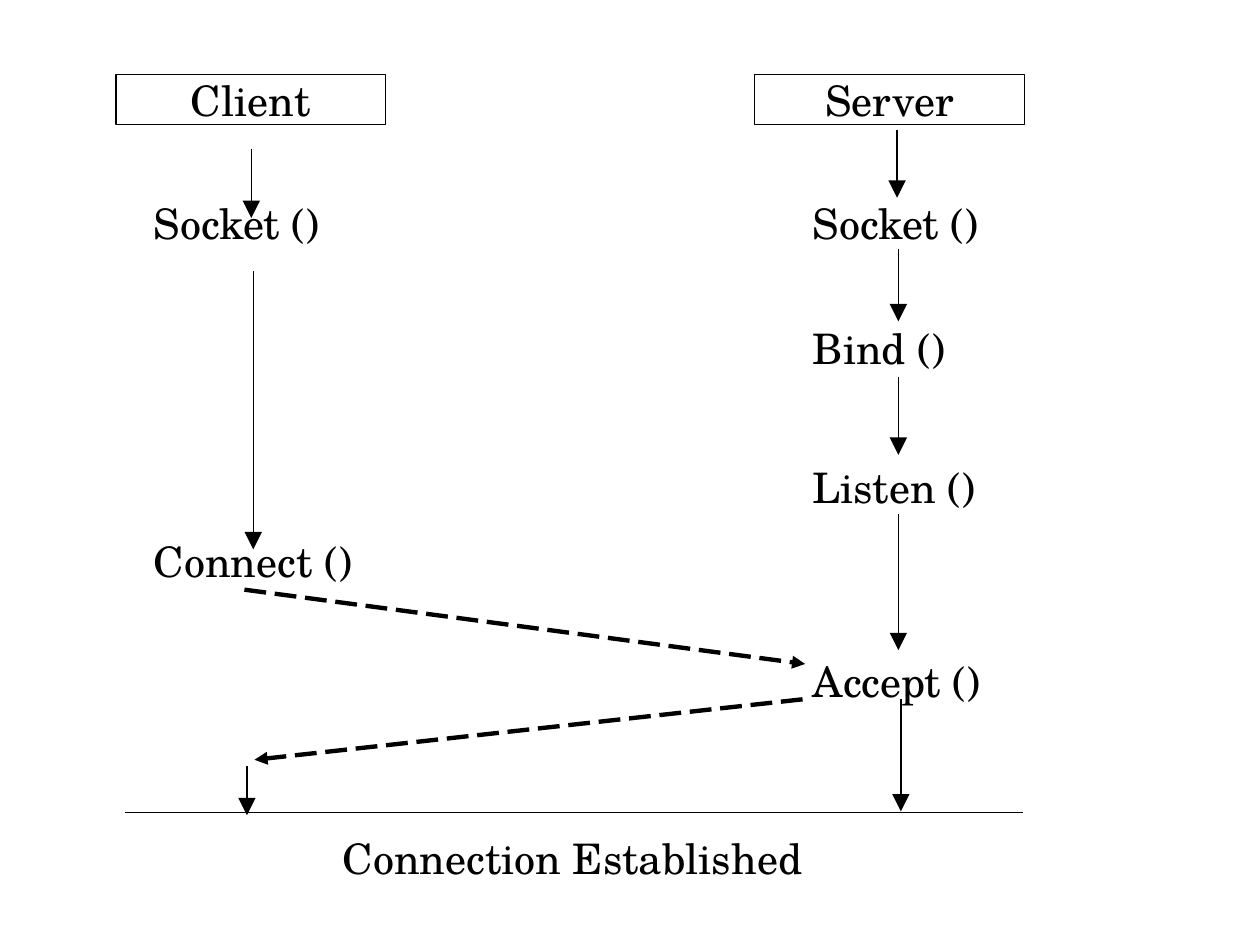
from lxml.etree import SubElement
from pptx import Presentation
from pptx.dml.color import RGBColor
from pptx.enum.shapes import MSO_CONNECTOR, MSO_SHAPE
from pptx.enum.text import MSO_ANCHOR, PP_ALIGN
from pptx.oxml.ns import qn
from pptx.util import Inches, Pt

COLORS = {"ink": "000000", "paper": "FFFFFF"}
FONT = "TeX Gyre Schola"
INK = RGBColor.from_string(COLORS["ink"])

presentation = Presentation()
presentation.slide_width = Inches(10)
presentation.slide_height = Inches(7.5)
slide = presentation.slides.add_slide(presentation.slide_layouts[6])
slide.background.fill.solid()
slide.background.fill.fore_color.rgb = RGBColor.from_string(COLORS["paper"])

# Grid of 100 columns by 75 rows
COLUMN = presentation.slide_width / 100
ROW = presentation.slide_height / 75
LABEL_HEIGHT = 4
CLIENT_LABEL, SERVER_LABEL = 12.2, 64.5
SERVER_ARROW = 71.3
BASELINE = 64.5


def write(shape, text, align=PP_ALIGN.LEFT, anchor=MSO_ANCHOR.TOP):
    frame = shape.text_frame
    frame.word_wrap = True
    frame.vertical_anchor = anchor
    frame.margin_left = frame.margin_right = 0
    frame.margin_top = frame.margin_bottom = 0
    paragraph = frame.paragraphs[0]
    paragraph.alignment = align
    run = paragraph.add_run()
    run.text = text
    run.font.name = FONT
    run.font.size = Pt(24)
    run.font.color.rgb = INK


def connect(start, end, width=0.75, head=None, dashed=False):
    points = [round(value * unit) for value, unit in
              zip((*start, *end), (COLUMN, ROW, COLUMN, ROW))]
    connector = slide.shapes.add_connector(MSO_CONNECTOR.STRAIGHT, *points)
    connector.line.width = Pt(width)
    connector.line.color.rgb = INK
    line = connector.line._get_or_add_ln()
    if dashed:
        pattern = SubElement(line, qn("a:custDash"))
        SubElement(pattern, qn("a:ds"), d="500000", sp="200000")
    if head:
        SubElement(line, qn("a:tailEnd"), type="triangle", w=head, len=head)
    SubElement(connector._element.spPr, qn("a:effectLst"))


# Headings of the two sides
for left, title in ((9.2, "Client"), (59.9, "Server")):
    box = slide.shapes.add_shape(
        MSO_SHAPE.ROUNDED_RECTANGLE, round(left * COLUMN), round(5.9 * ROW),
        round(21.4 * COLUMN), round(LABEL_HEIGHT * ROW))
    box.adjustments[0] = 0
    box.shadow.inherit = False
    box.fill.background()
    box.line.color.rgb = INK
    box.line.width = Pt(0.75)
    write(box, title, PP_ALIGN.CENTER, MSO_ANCHOR.MIDDLE)

# Calls and the result
for left, top, width, text in (
    (CLIENT_LABEL, 15.7, 16.9, "Socket ()"),
    (CLIENT_LABEL, 42.5, 21, "Connect ()"),
    (SERVER_LABEL, 15.7, 16.9, "Socket ()"),
    (SERVER_LABEL, 25.6, 16.9, "Bind ()"),
    (SERVER_LABEL, 36.6, 16.9, "Listen ()"),
    (SERVER_LABEL, 52, 16.9, "Accept ()"),
    (27.2, 66.1, 44.7, "Connection Established"),
):
    label = slide.shapes.add_textbox(
        round(left * COLUMN), round(top * ROW),
        round(width * COLUMN), round(LABEL_HEIGHT * ROW))
    write(label, text)

# Downward arrows: column, first row, last row
for column, top, bottom in (
    (19.95, 11.8, 17.3),
    (20.1, 21.5, 43.6),
    (19.6, 60.8, 64.7),
    (71.2, 10.3, 15.7),
    (SERVER_ARROW, 19.8, 25.5),
    (SERVER_ARROW, 29.9, 36.1),
    (SERVER_ARROW, 40.8, 51.6),
    (71.5, 55.5, 64.4),
):
    connect((column, top), (column, bottom), head="lg")

# Request and reply between the sides
connect((19.4, 46.8), (63.9, 52.7), width=2.5, head="med", dashed=True)
connect((63.7, 55.5), (20.2, 60.3), width=2.5, head="med", dashed=True)

# Line above the result
connect((9.9, BASELINE), (81.2, BASELINE))

presentation.save("out.pptx")
